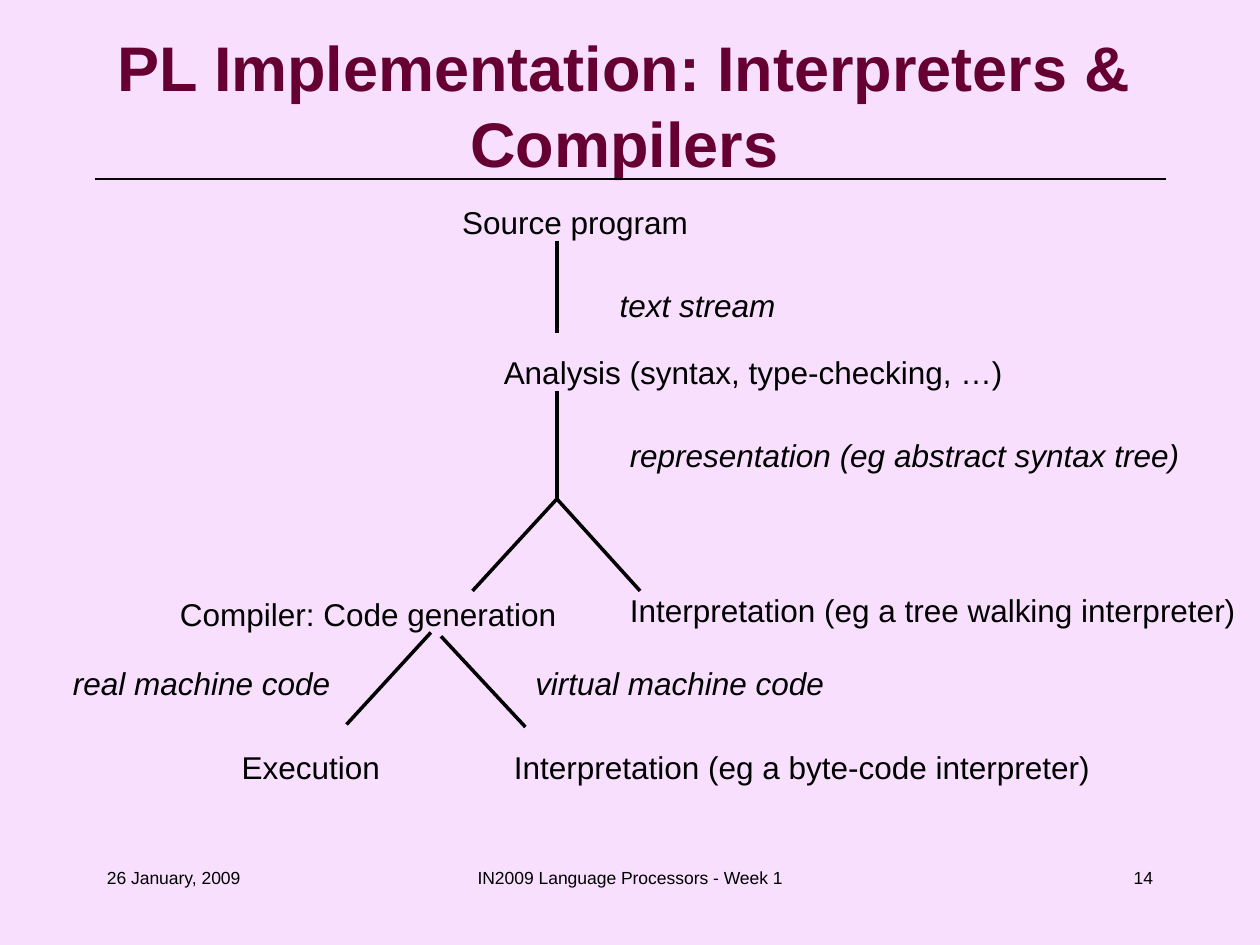
from lxml.etree import SubElement
from pptx import Presentation
from pptx.dml.color import RGBColor
from pptx.enum.shapes import MSO_CONNECTOR
from pptx.enum.text import MSO_ANCHOR, MSO_AUTO_SIZE, PP_ALIGN
from pptx.oxml.ns import qn
from pptx.util import Inches, Pt

COLORS = {"background": "F7DFFD", "title": "660033", "ink": "000000"}

BRANCHES = [
    (3.94, 0.35, 3.94, 1.08),
    (3.94, 1.54, 3.94, 2.4),
    (3.94, 2.4, 3.27, 3.13),
    (3.94, 2.4, 4.6, 3.13),
    (2.94, 3.46, 2.27, 4.19),
    (3.02, 3.49, 3.69, 4.21),
]
STAGES = [
    ("Source program", 3.09, 0, 1.99),
    ("Analysis (syntax, type-checking, …)", 3.42, 1.19, 4.16),
    ("Compiler: Code generation", 0.85, 3.11, 3.19),
    ("Interpretation (eg a tree walking interpreter)", 4.42, 3.08, 5.01),
    ("Execution", 1.34, 4.33, 1.3),
    ("Interpretation (eg a byte-code interpreter)", 3.5, 4.33, 4.77),
]
PRODUCTS = [
    ("text stream", 4.34, 0.66, 1.44),
    ("representation (eg abstract syntax tree)", 4.42, 1.85, 4.57),
    ("virtual machine code", 3.67, 3.66, 2.5),
    ("real machine code", 0, 3.66, 2.25),
]


def rgb(name):
    """Return the named colour."""
    return RGBColor.from_string(COLORS[name])


def set_font(p, size, color="ink", bold=False, italic=False):
    """Format a whole paragraph in Arial."""
    font = p.font
    font.name, font.size = "Arial", Pt(size)
    font.bold, font.italic = bold, italic
    font.color.rgb = rgb(color)


def add_line(s, x1, y1, x2, y2, width):
    """Draw a straight line without a shadow."""
    line = s.shapes.add_connector(
        MSO_CONNECTOR.STRAIGHT, Inches(x1), Inches(y1), Inches(x2), Inches(y2))
    line.line.color.rgb = rgb("ink")
    line.line.width = Pt(width)
    SubElement(line._element.spPr, qn("a:effectLst"))


def add_text(s, text, box, size, align=PP_ALIGN.LEFT, italic=False, wrap=True):
    """Place one paragraph of text in a box."""
    tf = s.shapes.add_textbox(*map(Inches, box)).text_frame
    tf.word_wrap = wrap
    tf.auto_size = MSO_AUTO_SIZE.NONE if wrap else MSO_AUTO_SIZE.SHAPE_TO_FIT_TEXT
    p = tf.paragraphs[0]
    p.text, p.alignment = text, align
    set_font(p, size, italic=italic)


def add_title(s, text, box):
    """Format the title placeholder and draw the rule below it."""
    title = s.shapes.title
    title.left, title.top, title.width, title.height = map(Inches, box)
    tf = title.text_frame
    tf.text = text
    tf.word_wrap = True
    tf.auto_size = MSO_AUTO_SIZE.NONE
    tf.vertical_anchor = MSO_ANCHOR.MIDDLE
    p = tf.paragraphs[0]
    p.alignment = PP_ALIGN.CENTER
    set_font(p, 36, "title", bold=True)
    rule_y = box[1] + box[3] + 0.09
    add_line(s, 0.75, rule_y, 9.25, rule_y, 0.75)


def add_tree(s, left, top):
    """Draw the processing tree from its top left corner."""
    for x1, y1, x2, y2 in BRANCHES:
        add_line(s, left + x1, top + y1, left + x2, top + y2, 2)
    for labels, italic in ((STAGES, False), (PRODUCTS, True)):
        for text, x, y, width in labels:
            add_text(s, text, (left + x, top + y, width, 0.4), 18,
                     italic=italic, wrap=False)


def add_footer(s, left, top, width, height):
    """Place date, course and slide number across the footer box."""
    side, middle = 2.08, 3.17
    add_text(s, "26 January, 2009", (left, top, side, height), 10)
    add_text(s, "IN2009 Language Processors - Week 1",
             (left + (width - middle) / 2, top, middle, height), 10, PP_ALIGN.CENTER)
    add_text(s, "14", (left + width - side, top, side, height), 10, PP_ALIGN.RIGHT)


def main():
    """Build and save the slide."""
    prs = Presentation()
    prs.slide_width, prs.slide_height = Inches(10), Inches(7.5)
    s = prs.slides.add_slide(prs.slide_layouts[5])
    s.background.fill.solid()
    s.background.fill.fore_color.rgb = rgb("background")
    add_title(s, "PL Implementation: Interpreters & Compilers", (0.08, 0.33, 9.75, 1))
    add_tree(s, 0.48, 1.56)
    add_footer(s, 0.75, 6.83, 8.5, 0.5)
    prs.save("out.pptx")


if __name__ == "__main__":
    main()
